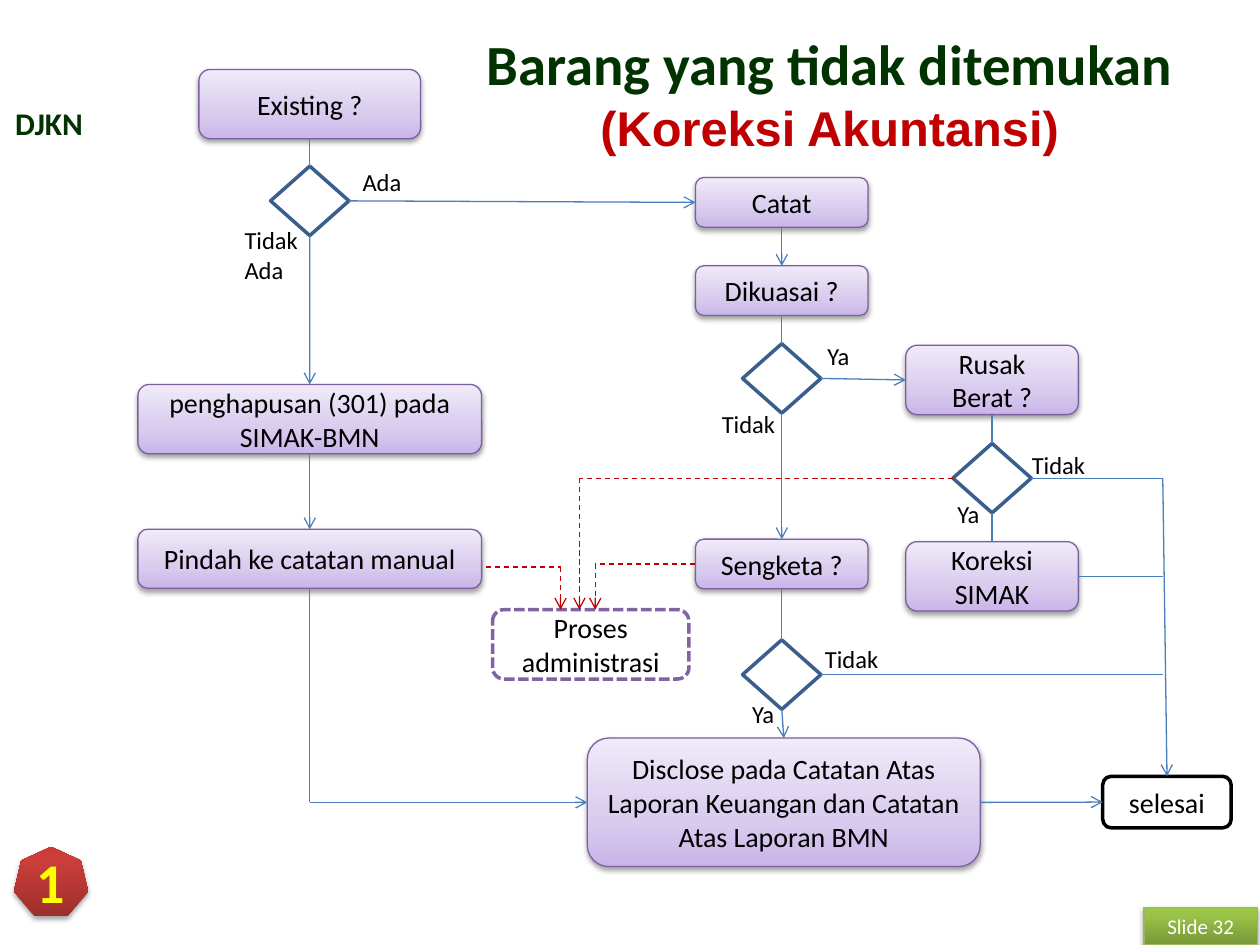
from collections import namedtuple

import pptx
import pptx.dml.color
import pptx.enum.dml
import pptx.enum.shapes
import pptx.enum.text
import pptx.oxml.ns
import pptx.util
from lxml import etree

Cm, Pt = pptx.util.Cm, pptx.util.Pt
qn = pptx.oxml.ns.qn
SHAPES = pptx.enum.shapes.MSO_SHAPE
DASHES = pptx.enum.dml.MSO_LINE
ALIGN = pptx.enum.text.PP_ALIGN
Box = namedtuple("Box", "left top width height")  # centimetres

COLOURS = {
    "green": "003300", "red": "C00000", "black": "000000", "white": "FFFFFF",
    "yellow": "FFFF00", "flow": "4B7EBC", "diamond": "3A5F8C",
    "block": "7D60A0", "dashed": "8064A2", "footer": "98B955",
}
GRADIENTS = {  # stops run from bottom to top
    "lilac": [(0, "C9B5E8"), (35, "D8CBEE"), (100, "F0EAF9")],
    "red": [(0, "9C2F2D"), (80, "CB3E3A"), (100, "CE3B37")],
    "green": [(0, "779737"), (80, "9BC348"), (100, "9DC746")],
}
TOP, LEFT, BOTTOM, RIGHT = range(4)
SIDES = {TOP: (0.5, 0), LEFT: (0, 0.5), BOTTOM: (0.5, 1), RIGHT: (1, 0.5)}


def rgb(name):
    return pptx.dml.color.RGBColor.from_string(COLOURS[name])


def style(span, size, colour, bold=False, face="Calibri"):
    span.font.name, span.font.size, span.font.bold = face, Pt(size), bold
    span.font.color.rgb = rgb(colour)


def write(shape, text, size, colour, bold=False, align=ALIGN.CENTER):
    frame = shape.text_frame
    frame.word_wrap = True
    frame.text = text
    frame.paragraphs[0].alignment = align
    style(frame.paragraphs[0].runs[0], size, colour, bold)


def paint_gradient(shape, name):
    shape.fill.gradient()
    shape.fill.gradient_angle = 90
    stops = shape._element.spPr.find(".//" + qn("a:gsLst"))
    for stop in list(stops):
        stops.remove(stop)
    for position, colour in GRADIENTS[name]:
        stop = etree.SubElement(stops, qn("a:gs"), pos=str(position * 1000))
        etree.SubElement(stop, qn("a:srgbClr"), val=colour)


def cast_shadow(shape):
    effects = shape._element.spPr.find(qn("a:effectLst"))
    outer = etree.SubElement(effects, qn("a:outerShdw"), blurRad=str(Pt(3.1)),
                             dist=str(Pt(1.7)), dir="5400000", rotWithShape="0")
    black = etree.SubElement(outer, qn("a:srgbClr"), val=COLOURS["black"])
    etree.SubElement(black, qn("a:alpha"), val="37000")


def add_shape(page, kind, box, line=None, weight=0.75, fill=None, gradient=None):
    shape = page.shapes.add_shape(kind, *map(Cm, box))
    if line:
        shape.line.color.rgb = rgb(line)
        shape.line.width = Pt(weight)
    else:
        shape.line.fill.background()
    shape.shadow.inherit = False
    if gradient:
        paint_gradient(shape, gradient)
        cast_shadow(shape)
    elif fill:
        shape.fill.solid()
        shape.fill.fore_color.rgb = rgb(fill)
    else:
        shape.fill.background()
    return shape


def centred(box, top, width, height):
    return Box(box.left + (box.width - width) / 2, box.top + top, width, height)


def add_block(page, box, top, width, height, text):
    shape = add_shape(page, SHAPES.ROUNDED_RECTANGLE, centred(box, top, width, height),
                      "block", gradient="lilac")
    write(shape, text, 16, "black")
    return shape


def add_decision(page, box, top):
    return add_shape(page, SHAPES.DIAMOND, centred(box, top, 1.58, 1.4), "diamond", 2)


def add_label(page, box, left, top, width, text, align=ALIGN.LEFT):
    label = page.shapes.add_textbox(Cm(box.left + left), Cm(box.top + top), Cm(width), Cm(0.86))
    write(label, text, 14, "black", align=align)


def place(end):
    """Point for an end given as (x, y) lengths or as (shape, side)."""
    if isinstance(end[0], int):
        return end
    shape, (across, down) = end[0], SIDES[end[1]]
    return int(shape.left + shape.width * across), int(shape.top + shape.height * down)


def link(page, start, end, arrow=True, colour="flow", dashed=False):
    line = page.shapes.add_connector(pptx.enum.shapes.MSO_CONNECTOR.STRAIGHT,
                                     *place(start), *place(end))
    for target, connect in ((start, line.begin_connect), (end, line.end_connect)):
        if not isinstance(target[0], int):
            connect(*target)
    line.line.color.rgb = rgb(colour)
    line.line.width = Pt(0.75)
    if dashed:
        line.line.dash_style = DASHES.DASH
    properties = line._element.spPr
    if arrow:
        etree.SubElement(properties.find(qn("a:ln")), qn("a:tailEnd"), type="arrow")
    etree.SubElement(properties, qn("a:effectLst"))


def link_down(page, upper, lower, arrow=True):
    link(page, (upper, BOTTOM), (lower, TOP), arrow)


def add_heading(page, box):
    title = page.shapes.title
    title.left, title.top, title.width, title.height = map(Cm, box)
    frame = title.text_frame
    frame.auto_size = pptx.enum.text.MSO_AUTO_SIZE.NONE
    frame.vertical_anchor = pptx.enum.text.MSO_ANCHOR.MIDDLE
    frame.text = "Barang yang tidak ditemukan\v(Koreksi Akuntansi)"
    para = frame.paragraphs[0]
    para.alignment = ALIGN.CENTER
    style(para.runs[0], 32.4, "green", True)
    style(para.runs[1], 27.9, "red", True, "Arial")


def add_margin_marks(page, box):
    owner = page.shapes.add_textbox(Cm(box.left), Cm(box.top + 1.98), Cm(1.98), Cm(1.02))
    write(owner, "DJKN", 18, "green", True)
    badge = add_shape(page, SHAPES.HEPTAGON, (box.left + 0.28, box.top + 17.07, 1.5, 1.4),
                      gradient="red")
    write(badge, "1", 32, "yellow", True)
    number = add_shape(page, SHAPES.RECTANGLE, (box.left + 23.06, box.top + 18.29, 2.29, 0.76),
                       "footer", gradient="green")
    write(number, "Slide 32", 12, "white")


def add_existence_branch(page, box):
    existing = add_block(page, box, 0, 4.47, 1.4, "Existing ?")
    decision = add_decision(page, box, 1.95)
    removal = add_block(page, box, 6.35, box.width, 1.4, "penghapusan (301) pada SIMAK-BMN")
    manual = add_block(page, box, 9.27, box.width, 1.19, "Pindah ke catatan manual")
    link_down(page, existing, decision, False)
    link_down(page, decision, removal)
    link_down(page, removal, manual)
    add_label(page, box, 4.28, 1.85, 2.06, "Ada")
    add_label(page, box, 1.9, 3.02, 2.06, "Tidak Ada")
    return decision, manual


def add_control_branch(page, box):
    record = add_block(page, box, 0, box.width, 1, "Catat")
    control = add_block(page, box, 1.78, box.width, 1, "Dikuasai ?")
    controlled = add_decision(page, box, 3.35)
    dispute = add_block(page, box, 7.29, box.width, 1, "Sengketa ?")
    disputed = add_decision(page, box, 9.32)
    link_down(page, record, control)
    link_down(page, control, controlled, False)
    link_down(page, controlled, dispute)
    link_down(page, dispute, disputed, False)
    add_label(page, box, 2.41, 3.18, 1.07, "Ya")
    add_label(page, box, 0.18, 4.55, 1.78, "Tidak", ALIGN.CENTER)
    add_label(page, box, 2.36, 9.27, 1.68, "Tidak")
    add_label(page, box, 0.83, 10.39, 1.07, "Ya", ALIGN.CENTER)
    return record, controlled, dispute, disputed


def add_damage_branch(page, box):
    damage = add_block(page, box, 0, box.width, 1.4, "Rusak Berat ?")
    damaged = add_decision(page, box, 1.98)
    correction = add_block(page, box, 3.96, box.width, 1.4, "Koreksi SIMAK")
    link_down(page, damage, damaged, False)
    link_down(page, damaged, correction, False)
    add_label(page, box, 0.79, 2.97, 1.07, "Ya")
    add_label(page, box, 2.19, 1.98, 1.78, "Tidak", ALIGN.CENTER)
    return damage, damaged, correction


def add_outcomes(page, box):
    process = add_shape(page, SHAPES.ROUNDED_RECTANGLE, (box.left, box.top, 3.96, 1.4),
                        "dashed", 2, "white")
    process.line.dash_style = DASHES.SQUARE_DOT
    write(process, "Proses administrasi", 16, "black")
    disclosure = add_block(page, Box(box.left + 1.91, box.top, 7.92, box.height), 2.59, 7.92, 2.59,
                           "Disclose pada Catatan Atas Laporan Keuangan dan Catatan Atas Laporan BMN")
    done = add_shape(page, SHAPES.ROUNDED_RECTANGLE, (box.left + 12.3, box.top + 3.36, 2.59, 1.04),
                     "black", 2, "white")
    write(done, "selesai", 16, "black")
    link(page, (disclosure, RIGHT), (done, LEFT))
    return process, disclosure, done


def main():
    deck = pptx.Presentation()
    deck.slide_width, deck.slide_height = Cm(25.4), Cm(19.05)
    page = deck.slides.add_slide(deck.slide_layouts[5])
    add_margin_marks(page, Box(0, 0, 25.4, 19.05))
    add_heading(page, Box(9.32, 0.76, 14.81, 2.21))
    exists, manual = add_existence_branch(page, Box(2.78, 1.4, 6.93, 10.46))
    record, controlled, dispute, disputed = add_control_branch(page, Box(14.02, 3.58, 3.48, 10.72))
    damage, damaged, correction = add_damage_branch(page, Box(18.26, 6.96, 3.48, 5.36))
    process, disclosure, done = add_outcomes(page, Box(9.93, 12.29, 14.89, 5.18))

    # Flow between the branches
    link(page, (exists, RIGHT), (record, LEFT))
    link(page, (controlled, RIGHT), (damage, LEFT))
    link_down(page, disputed, disclosure)
    corner = (place((manual, BOTTOM))[0], place((disclosure, LEFT))[1])
    link(page, (manual, BOTTOM), corner, False)
    link(page, corner, (disclosure, LEFT))

    # Exits gathered on the right-hand rail
    rail = Cm(23.44)
    for source in (damaged, correction, disputed):
        link(page, (source, RIGHT), (rail, place((source, RIGHT))[1]), False)
    link(page, (rail, place((damaged, RIGHT))[1]), (done, TOP))

    # Dashed routes into the administrative process
    routes = (((Cm(9.8), Cm(11.43)), 11.3), ((damaged, LEFT), 11.68), ((dispute, LEFT), 12))
    for start, drop in routes:
        turn = (Cm(drop), place(start)[1])
        link(page, start, turn, False, "red", True)
        link(page, turn, (Cm(drop), process.top), True, "red", True)
    deck.save("out.pptx")


if __name__ == "__main__":
    main()
